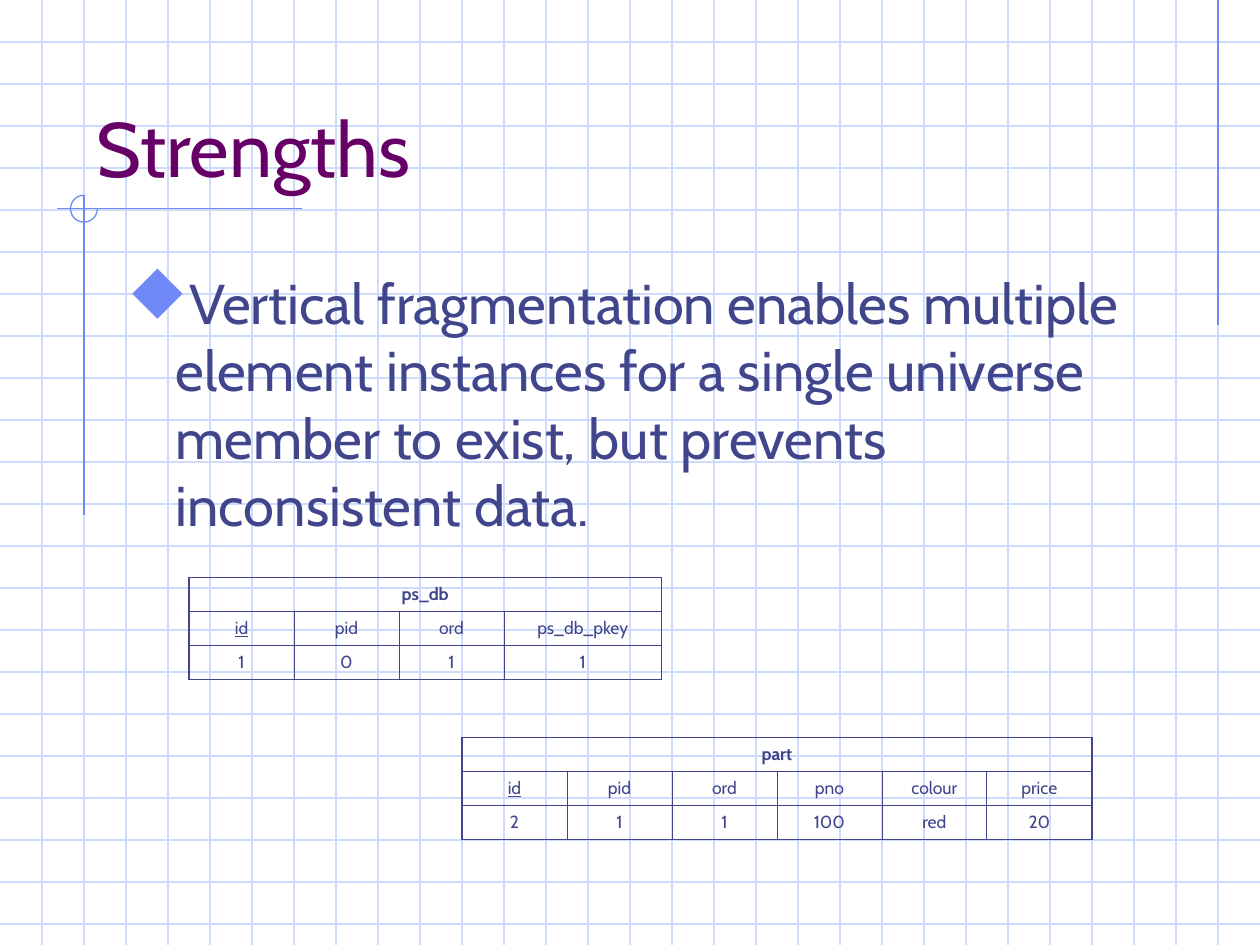
"""Build the "Strengths" slide: graph-paper grid, title, one bullet and two data tables."""
from lxml.etree import SubElement
from pptx import Presentation
from pptx.dml.color import RGBColor
from pptx.enum.shapes import MSO_CONNECTOR, MSO_SHAPE
from pptx.enum.text import MSO_ANCHOR, PP_ALIGN
from pptx.oxml import parse_xml
from pptx.oxml.ns import nsdecls, qn
from pptx.util import Emu, Inches, Pt

GRID, ACCENT, INK, PLUM = "CFDBFD", "6F89F7", "40458C", "660066"
COLS, ROWS = 30, 22.5


def rgb(value):
    """Turn a hex string into a colour."""
    return RGBColor.from_string(value)


def write(tf, text, size=10, color=INK, bold=False, underline=False,
          align=PP_ALIGN.LEFT, anchor=MSO_ANCHOR.TOP, bullet=None):
    """Put one formatted paragraph into a text frame."""
    tf.word_wrap = True
    tf.vertical_anchor = anchor
    p = tf.paragraphs[0]
    p.alignment = align
    if bullet:
        pPr = p._p.get_or_add_pPr()
        pPr.set("marL", str(Inches(0.38)))
        pPr.set("indent", str(-Inches(0.38)))
        SubElement(SubElement(pPr, qn("a:buClr")), qn("a:srgbClr"), val=ACCENT)
        SubElement(pPr, qn("a:buSzPct"), val="110000")
        SubElement(pPr, qn("a:buFont"), typeface="Wingdings", pitchFamily="2", charset="2")
        SubElement(pPr, qn("a:buChar"), char=bullet)
    r = p.add_run()
    r.text = text
    r.font.name = "Cabin"
    r.font.size = Pt(size)
    r.font.bold = bold
    r.font.underline = underline
    r.font.color.rgb = rgb(color)


prs = Presentation()
prs.slide_width, prs.slide_height = Inches(10), Inches(7.5)
s = prs.slides.add_slide(prs.slide_layouts[6])
u = prs.slide_width / COLS

lines = [(0, row, COLS, row, GRID) for row in range(1, int(ROWS) + 1)]
lines += [(col, 0, col, ROWS, GRID) for col in range(1, COLS)]
lines += [(29, 0, 29, 7.75, ACCENT),
          (7.2, 4.97, 1.35, 4.97, ACCENT),
          (2, 4.65, 2, 12.27, ACCENT)]
for x1, y1, x2, y2, color in lines:
    ln = s.shapes.add_connector(
        MSO_CONNECTOR.STRAIGHT, *(Emu(round(v * u)) for v in (x1, y1, x2, y2)))
    ln.line.color.rgb = rgb(color)
    ln.line.width = Pt(0.75)
    SubElement(ln._element.spPr, qn("a:effectLst"))

arc = s.shapes.add_shape(
    MSO_SHAPE.ARC, *(Emu(round(v * u)) for v in (1.68, 4.65, 0.64, 0.64)))
arc.adjustments[0], arc.adjustments[1] = 0, 162
arc.shadow.inherit = False
arc.fill.background()
arc.line.color.rgb = rgb(ACCENT)
arc.line.width = Pt(0.75)

texts = [
    ((2, 1, 25.5, 3.75), "Strengths",
     dict(size=44, color=PLUM, anchor=MSO_ANCHOR.BOTTOM)),
    ((2.75, 6.25, 25.5, 13.5),
     "Vertical fragmentation enables multiple element instances for a single "
     "universe member to exist, but prevents inconsistent data.",
     dict(size=32, bullet="u")),
]
for box, text, style in texts:
    sp = s.shapes.add_textbox(*(Emu(round(v * u)) for v in box))
    write(sp.text_frame, text, **style)

tables = [
    (11, 17.56, [2.5] * 6, "part",
     [["id", "pid", "ord", "pno", "colour", "price"],
      ["2", "1", "1", "100", "red", "20"]]),
    (4.5, 13.75, [2.5, 2.5, 2.5, 3.75], "ps_db",
     [["id", "pid", "ord", "ps_db_pkey"],
      ["1", "0", "1", "1"]]),
]
for x, y, widths, name, body in tables:
    rows = [[name] + [""] * (len(widths) - 1)] + body
    box = (x, y, sum(widths), 0.81 * len(rows))
    tbl = s.shapes.add_table(
        len(rows), len(widths), *(Emu(round(v * u)) for v in box)).table
    tbl.first_row = tbl.horz_banding = False
    for col, width in zip(tbl.columns, widths):
        col.width = Emu(round(width * u))
    last_row, last_col = len(rows) - 1, len(widths) - 1
    tbl.cell(0, 0).merge(tbl.cell(0, last_col))
    for i, row in enumerate(rows):
        for j, text in enumerate(row):
            cell = tbl.cell(i, j)
            if cell.is_spanned:
                continue
            write(cell.text_frame, text, bold=i == 0, underline=text == "id",
                  align=PP_ALIGN.CENTER)
            cell.margin_left = cell.margin_right = Inches(0.1)
            cell.margin_top = cell.margin_bottom = Inches(0.05)
            outer = {"L": j == 0, "R": i == 0 or j == last_col,
                     "T": i == 0, "B": i == last_row}
            for side, thick in outer.items():
                cell._tc.get_or_add_tcPr().append(parse_xml(
                    f'<a:ln{side} {nsdecls("a")} w="{Pt(1.08 if thick else 0.45)}">'
                    f'<a:solidFill><a:srgbClr val="{INK}"/></a:solidFill></a:ln{side}>'))
            cell.fill.background()

prs.save("out.pptx")
